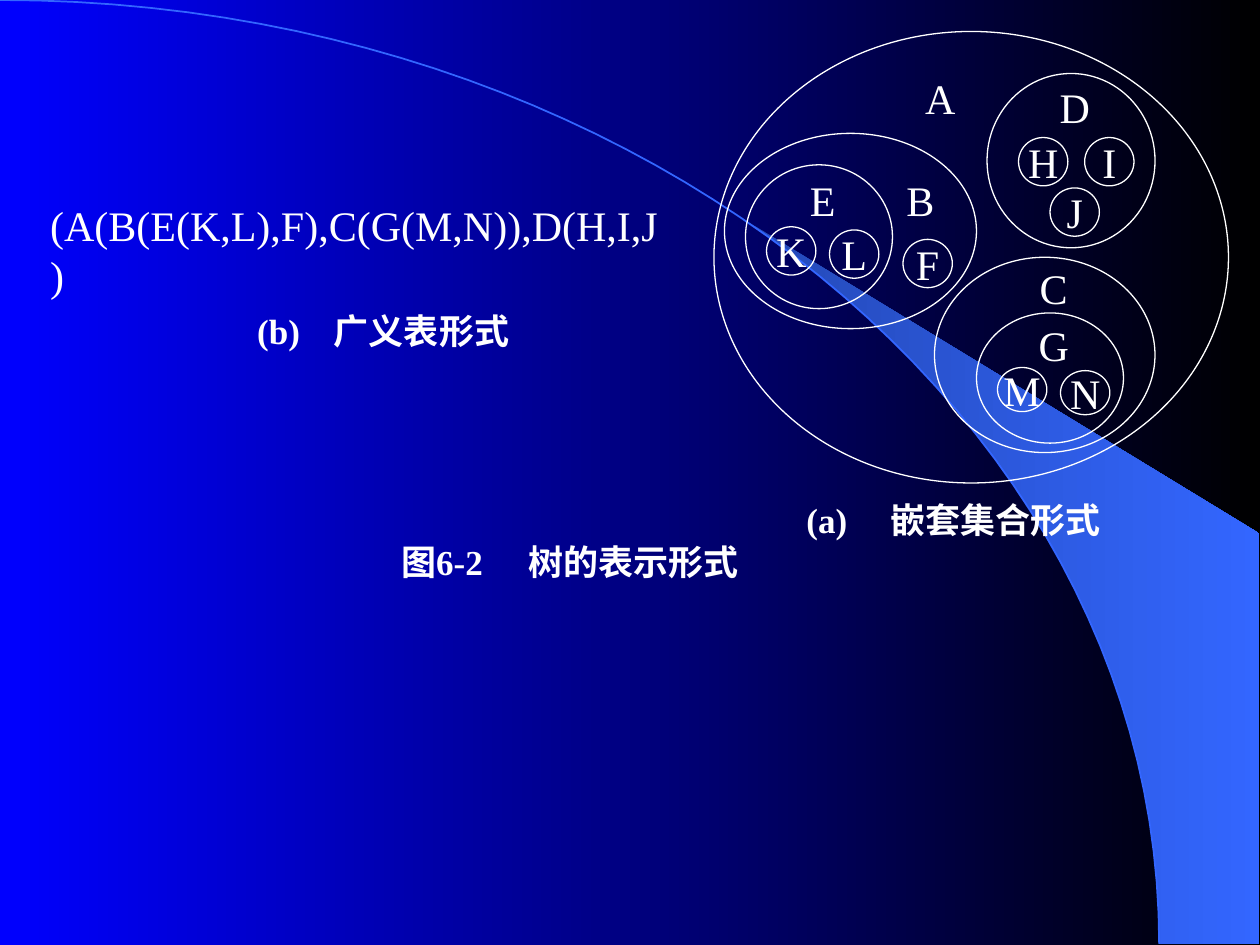
from pptx import Presentation
from pptx.dml.color import RGBColor
from pptx.enum.shapes import MSO_SHAPE
from pptx.enum.text import MSO_ANCHOR, PP_ALIGN
from pptx.oxml import parse_xml
from pptx.oxml.ns import nsdecls
from pptx.util import Inches, Pt

COLORS = {"blue": "0000FF", "black": "000000", "white": "FFFFFF",
          "swoosh": "2449B6", "arc": "3366FF"}
SERIF, SANS, CJK = "Times New Roman", "Arial", "Noto Sans CJK SC"
CELL = Inches(10) / 120  # the slide is a grid of 120 columns by 90 rows


def cells(*counts):
    return [round(count * CELL) for count in counts]


def curve_points(start, control_1, control_2, end, steps=50):
    """Points along a cubic curve, in grid cells."""
    points = []
    for step in range(steps + 1):
        t = step / steps
        weights = (1 - t) ** 3, 3 * t * (1 - t) ** 2, 3 * t * t * (1 - t), t ** 3
        points.append([sum(w * v for w, v in zip(weights, axis))
                       for axis in zip(start, control_1, control_2, end)])
    return points


class DiagramSlide:
    def __init__(self, page):
        self.page = page
        self.shapes = page.shapes

    def color(self, name):
        return RGBColor.from_string(COLORS[name])

    def gradient(self, fill, first, last):
        fill.gradient()
        fill.gradient_angle = 0
        for stop, name in zip(fill.gradient_stops, (first, last)):
            stop.color.rgb = self.color(name)

    def outline(self, shape, name=None, width=0.75):
        shape.shadow.inherit = False
        if name:
            shape.line.color.rgb = self.color(name)
            shape.line.width = Pt(width)
        else:
            shape.line.fill.background()

    def freeform(self, points, close):
        start, *rest = [cells(*point) for point in points]
        builder = self.shapes.build_freeform(*start, scale=1.0)
        builder.add_line_segments(rest, close=close)
        return builder.convert_to_shape()

    def style(self, span, font, size, bold=False):
        span.font.name = font
        span.font.size = Pt(size)
        span.font.bold = bold
        span.font.color.rgb = self.color("white")

    def ellipse(self, left, top, width, height, label="", ring=True):
        shape = self.shapes.add_shape(MSO_SHAPE.OVAL, *cells(left, top, width, height))
        shape.fill.background()
        self.outline(shape, "white" if ring else None)
        if label:
            frame = shape.text_frame
            frame.text = label
            frame.word_wrap = False
            frame.vertical_anchor = MSO_ANCHOR.MIDDLE
            frame.margin_left = frame.margin_right = 0
            frame.margin_top = frame.margin_bottom = 0
            para = frame.paragraphs[0]
            para.alignment = PP_ALIGN.CENTER
            self.style(para.runs[0], SERIF, 24)

    def text(self, left, top, width, height, parts, size, bold=False,
             inset=1.2, tab=None):
        """Text made of (wording, font) parts; tab is counted from the text start."""
        box = self.shapes.add_textbox(*cells(left, top, width, height))
        frame = box.text_frame
        frame.word_wrap = tab is not None
        frame.vertical_anchor = MSO_ANCHOR.MIDDLE
        frame.margin_left = cells(inset)[0]
        para = frame.paragraphs[0]
        if tab is not None:
            para._p.get_or_add_pPr().append(parse_xml(
                f'<a:tabLst {nsdecls("a")}><a:tab pos="{cells(tab)[0]}" algn="l"/></a:tabLst>'))
        for wording, font in parts:
            span = para.add_run()
            span.text = wording
            self.style(span, font, size, bold)


def main():
    deck = Presentation()
    deck.slide_width, deck.slide_height = Inches(10), Inches(7.5)
    page = deck.slides.add_slide(deck.slide_layouts[6])
    slide = DiagramSlide(page)
    slide.gradient(page.background.fill, "blue", "black")

    arc_points = curve_points((0, 0), (61, 0), (110.4, 40.2), (110.4, 89.9))
    swoosh = slide.freeform(arc_points[22:] + [(119.9, 89.9), (119.9, 50.8)], close=True)
    slide.gradient(swoosh.fill, "swoosh", "arc")
    slide.outline(swoosh)
    arc = slide.freeform(arc_points, close=False)
    arc.fill.background()
    slide.outline(arc, "arc", 1)

    captions = [
        (36, 51, 37, 2.2, 12.1, [("图", SANS), ("6-2\t", SERIF), ("树的表示", SANS)]),
        (75, 47, 32, 1.8, 8, [("(a)\t", SERIF), ("嵌套集合", CJK)]),
        (21.6, 29, 30, 2.9, 7.3, [("(b)\t", SERIF), ("广义表", CJK)]),
    ]
    for left, top, width, inset, tab, parts in captions:
        slide.text(left, top, width, 5, parts + [("形式", SERIF)], 20, True, inset, tab)
    slide.text(3.6, 21, 61.4, 5.6, [("(A(B(E(K,L),F),C(G(M,N)),D(H,I,J)", SERIF)], 24)

    sets = [
        (94, 7, 16, 16.6),       # D
        (71, 15.7, 14, 13.7),    # E
        (69, 12.7, 24, 18.6),    # B
        (93, 29.8, 14, 12.4),    # G
        (89, 24.5, 21, 18.6),    # C
        (68, 3, 49, 43),         # A
    ]
    for bounds in sets:
        slide.ellipse(*bounds)

    tall, flat = 4.6, 4.2
    leaves = [("H", 97, 13.1, tall), ("I", 103.3, 13.1, tall), ("J", 100, 17.9, tall),
              ("F", 86, 22.8, tall), ("K", 73, 21.6, tall), ("L", 79, 21.9, tall),
              ("M", 95, 35, flat), ("N", 101, 35.3, flat)]
    set_names = [("D", 100, 7.9, tall), ("B", 85.3, 16.7, tall), ("E", 76, 16.7, tall),
                 ("C", 98, 25.3, flat), ("G", 98, 30.7, flat), ("A", 87.2, 7, tall)]
    for nodes, ring in ((leaves, True), (set_names, False)):
        for label, left, top, height in nodes:
            slide.ellipse(left, top, 4.7, height, label, ring)

    deck.save("out.pptx")


if __name__ == "__main__":
    main()
